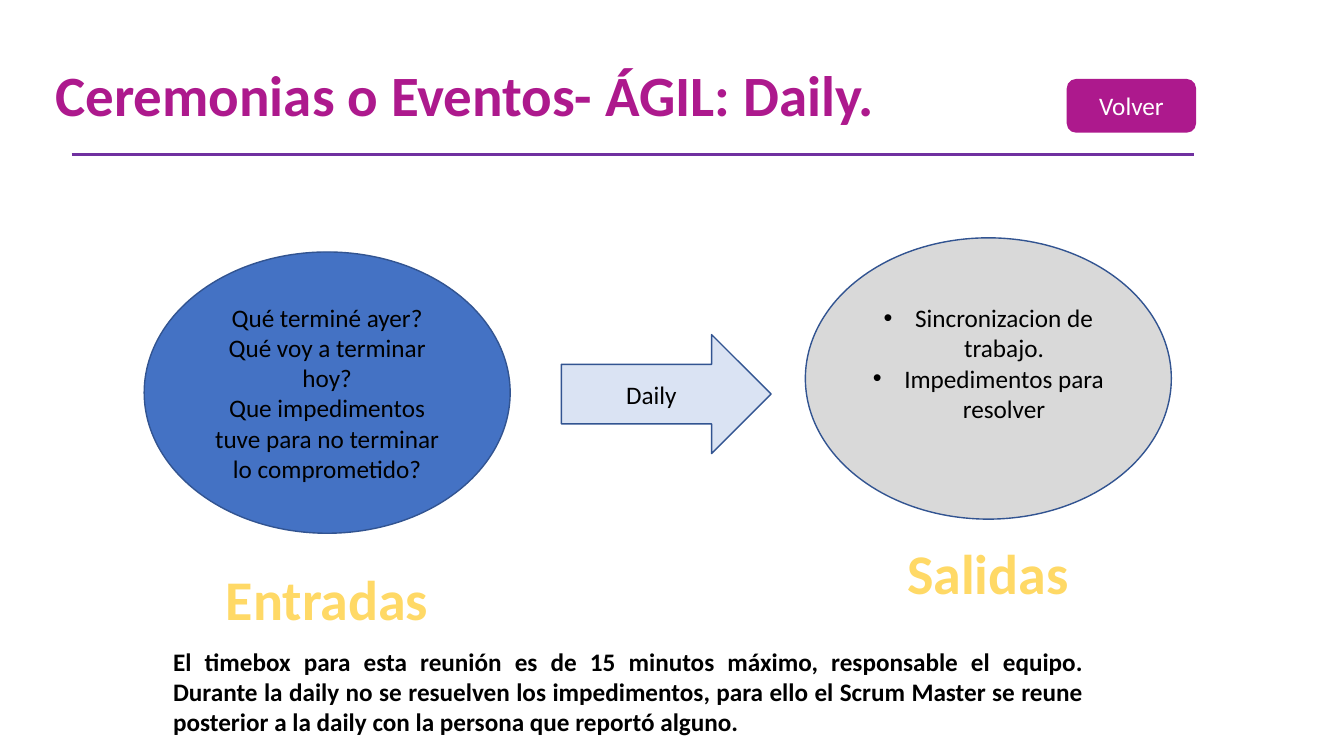
"""Build the slide on the agile Daily ceremony with its inputs and outputs."""
from dataclasses import dataclass

import lxml.etree
import pptx
import pptx.dml.color
import pptx.enum.shapes
import pptx.enum.text
import pptx.oxml.ns
import pptx.shapes.autoshape
import pptx.slide
import pptx.text.text
import pptx.util

Pt = pptx.util.Pt
Align = pptx.enum.text.PP_ALIGN
Anchor = pptx.enum.text.MSO_ANCHOR
Kind = pptx.enum.shapes.MSO_SHAPE
Box = tuple[float, float, float, float]


@dataclass(frozen=True)
class Theme:
    font: str = "Calibri"
    magenta: str = "AD198D"
    purple: str = "7030A0"
    blue: str = "4472C4"
    pale_blue: str = "DAE3F3"
    gray: str = "D9D9D9"
    outline: str = "325491"
    gold: str = "FFD966"
    black: str = "000000"
    white: str = "FFFFFF"
    title_size: float = 40.7
    label_size: float = 40
    body_size: float = 18


THEME = Theme()


@dataclass(frozen=True)
class Figure:
    kind: Kind
    box: Box
    fill: str
    line: str
    lines: tuple[str, ...]
    color: str = THEME.black
    bullets: bool = False
    bottom: float = 3.6


@dataclass(frozen=True)
class Label:
    text: str
    box: Box


FIGURES = (
    Figure(Kind.OVAL, (103, 180, 261.4, 200.9), THEME.blue, THEME.outline,
           ("Qué terminé ayer?", "Qué voy a terminar hoy?",
            "Que impedimentos tuve para no terminar lo comprometido?")),
    Figure(Kind.RIGHT_ARROW, (401, 239, 149.8, 85), THEME.pale_blue, THEME.outline, ("Daily",)),
    Figure(Kind.OVAL, (575.3, 169.9, 261.4, 200.9), THEME.gray, THEME.outline,
           ("Sincronizacion de trabajo.", "Impedimentos para resolver"),
           bullets=True, bottom=25.6),
    Figure(Kind.ROUNDED_RECTANGLE, (762.5, 56.9, 91.4, 37.4), THEME.magenta, THEME.magenta,
           ("Volver",), color=THEME.white),
)
LABELS = (
    Label("Entradas", (154.1, 399.6, 159.1, 55.4)),
    Label("Salidas", (640.8, 380.9, 129.6, 55.4)),
)
TIMEBOX = (
    "El timebox para esta reunión es de 15 minutos máximo, responsable el equipo. "
    "Durante la daily no se resuelven los impedimentos, para ello el Scrum Master "
    "se reune posterior a la daily con la persona que reportó alguno."
)


def rgb(color: str) -> pptx.dml.color.RGBColor:
    return pptx.dml.color.RGBColor.from_string(color)


def add_bullet(p: pptx.text.text._Paragraph) -> None:
    props = p._p.get_or_add_pPr()
    props.set("marL", str(Pt(22.5)))
    props.set("indent", str(Pt(-22.5)))
    for tag, name, value in (("a:buFont", "typeface", "Arial"), ("a:buChar", "char", "•")):
        lxml.etree.SubElement(props, pptx.oxml.ns.qn(tag)).set(name, value)


def write(tf: pptx.text.text.TextFrame, *lines: str, size: float = THEME.body_size,
          color: str = THEME.black, bold: bool = False, align: Align = Align.CENTER,
          anchor: Anchor = Anchor.MIDDLE, wrap: bool = True, bullets: bool = False,
          spacing: float | None = None) -> None:
    tf.auto_size = pptx.enum.text.MSO_AUTO_SIZE.NONE
    tf.word_wrap = wrap
    tf.vertical_anchor = anchor
    for i, line in enumerate(lines):
        p = tf.add_paragraph() if i else tf.paragraphs[0]
        p.alignment = align
        p.line_spacing = spacing
        if bullets:
            add_bullet(p)
        r = p.add_run()
        r.text = line
        r.font.name = THEME.font
        r.font.size = Pt(size)
        r.font.bold = bold
        r.font.color.rgb = rgb(color)


def add_title(s: pptx.slide.Slide) -> None:
    sp = s.shapes.title
    sp.left, sp.top, sp.width, sp.height = map(Pt, (32.4, 51.1, 839.5, 43.9))
    write(sp.text_frame, "Ceremonias o Eventos- ÁGIL: Daily.", size=THEME.title_size,
          color=THEME.magenta, bold=True, align=Align.LEFT, spacing=0.7)


def add_rule(s: pptx.slide.Slide) -> None:
    ends = map(Pt, (51.1, 110.2, 853.2, 110.2))
    rule = s.shapes.add_connector(pptx.enum.shapes.MSO_CONNECTOR.STRAIGHT, *ends)
    rule.line.color.rgb = rgb(THEME.purple)
    rule.line.width = Pt(2.25)
    lxml.etree.SubElement(rule._element.spPr, pptx.oxml.ns.qn("a:effectLst"))


def add_figure(s: pptx.slide.Slide, figure: Figure) -> pptx.shapes.autoshape.Shape:
    sp = s.shapes.add_shape(figure.kind, *map(Pt, figure.box))
    sp.shadow.inherit = False
    sp.fill.solid()
    sp.fill.fore_color.rgb = rgb(figure.fill)
    sp.line.color.rgb = rgb(figure.line)
    sp.line.width = Pt(1)
    sp.text_frame.margin_bottom = Pt(figure.bottom)
    write(sp.text_frame, *figure.lines, color=figure.color, bullets=figure.bullets)
    return sp


def main() -> None:
    prs = pptx.Presentation()
    prs.slide_width, prs.slide_height = Pt(960), Pt(540)
    s = prs.slides.add_slide(prs.slide_layouts.get_by_name("Title Only"))
    add_title(s)
    add_rule(s)
    timebox = s.shapes.add_textbox(*map(Pt, (116.6, 457.9, 664.6, 94.3)))
    write(timebox.text_frame, TIMEBOX, bold=True, align=Align.JUSTIFY, anchor=Anchor.TOP)
    for figure in FIGURES:
        add_figure(s, figure)
    for label in LABELS:
        sp = s.shapes.add_textbox(*map(Pt, label.box))
        write(sp.text_frame, label.text, size=THEME.label_size, color=THEME.gold,
              bold=True, anchor=Anchor.TOP, wrap=False)
    prs.save("out.pptx")


if __name__ == "__main__":
    main()
